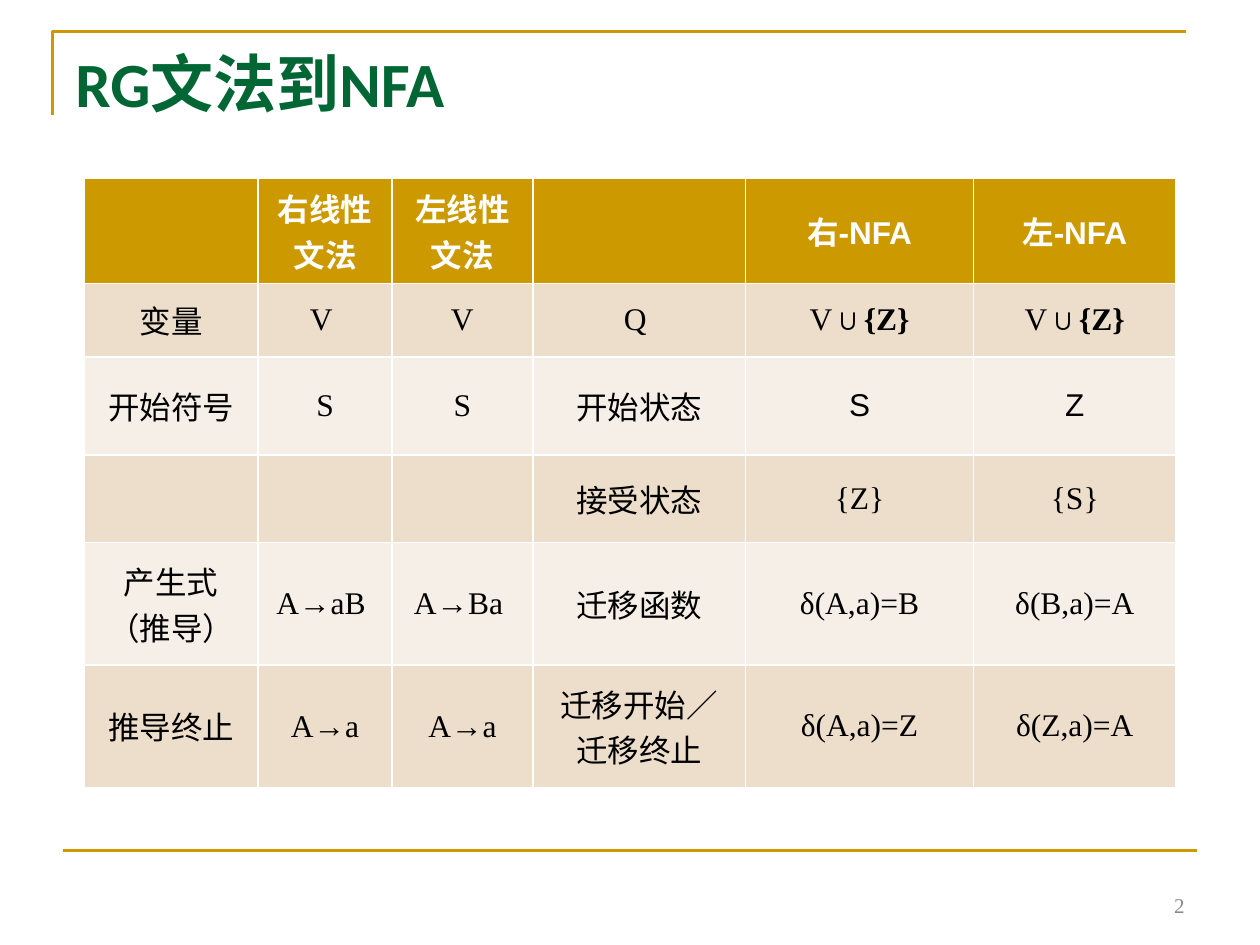
"""Build a slide that maps regular grammars to NFAs in a table."""
from lxml import etree
from pptx import Presentation
from pptx.dml.color import RGBColor
from pptx.enum import shapes, text
from pptx.oxml.ns import qn
from pptx.util import Pt

SERIF, SANS = "Times New Roman", "Arial"
GOLD, GREEN, GREY, BLACK, WHITE = "CC9900", "006633", "898989", "000000", "FFFFFF"
BANDS = ["ECDECB", "F6EFE7"]
ARROW = ("→", SANS, False)
UNION = ["V", ("∪{Z}", SERIF, True)]

COLS = [99.5, 76.5, 80.5, 121.5, 130.5, 115.5]
ROWS = [60, 42, 56, 50, 70, 70]
HEADER = ["", "右线性文法", "左线性文法", "", "右-NFA", "左-NFA"]
BODY = [
    ["变量", "V ", "V", "Q ", UNION, UNION],
    ["开始符号", "S", "S", "开始状态", [("S", SANS, False)], [("Z", SANS, False)]],
    ["", "", "", "接受状态", "{Z}", "{S}"],
    ["产生式（推导）", ["A", ARROW, "aB "], ["A", ARROW, "Ba "], "迁移函数",
     "δ(A,a)=B", "δ(B,a)=A"],
    [[("推导终止", SANS, False)], ["A", ARROW, "a"], ["A", ARROW, "a"],
     "迁移开始／迁移终止", "δ(A,a)=Z", "δ(Z,a)=A"],
]


def rgb(value):
    return RGBColor.from_string(value)


def add_run(p, words, font, size, color, bold=False):
    r = p.add_run()
    r.text = words
    r.font.name, r.font.size, r.font.bold = font, Pt(size), bold
    r.font.color.rgb = rgb(color)


def add_label(s, box, words, font, size, color, bold, align, anchor):
    tf = s.shapes.add_textbox(*map(Pt, box)).text_frame
    tf.word_wrap = True
    tf.vertical_anchor = anchor
    p = tf.paragraphs[0]
    p.alignment = align
    add_run(p, words, font, size, color, bold)


def add_rules(s):
    fb = s.shapes.build_freeform(Pt(30), Pt(66))
    fb.add_line_segments([(Pt(30), Pt(18)), (Pt(678), Pt(18))], close=False)
    corner = fb.convert_to_shape()
    corner.shadow.inherit = False
    corner.fill.background()
    footer = s.shapes.add_connector(
        shapes.MSO_CONNECTOR.STRAIGHT, Pt(36), Pt(486), Pt(684), Pt(486))
    etree.SubElement(footer._element.spPr, qn("a:effectLst"))
    for rule in (corner, footer):
        rule.line.color.rgb = rgb(GOLD)
        rule.line.width = Pt(1.5)
    footer._element.spPr.append(footer._element.spPr.find(qn("a:effectLst")))


def fill_cell(cell, content, fill, font, color, bold):
    cell.fill.solid()
    cell.fill.fore_color.rgb = rgb(fill)
    cell.vertical_anchor = text.MSO_ANCHOR.MIDDLE
    p = cell.text_frame.paragraphs[0]
    p.alignment = text.PP_ALIGN.CENTER
    for part in [content] if isinstance(content, str) else content:
        if part:
            words, face, strong = (part, font, bold) if isinstance(part, str) else part
            add_run(p, words, face, 18, color, strong)


def add_mapping(s):
    table = s.shapes.add_table(
        len(ROWS), len(COLS), Pt(48), Pt(102), Pt(sum(COLS)), Pt(sum(ROWS))).table
    for col, width in zip(table.columns, COLS):
        col.width = Pt(width)
    for row, height in zip(table.rows, ROWS):
        row.height = Pt(height)
    for j, content in enumerate(HEADER):
        fill_cell(table.cell(0, j), content, GOLD, SANS, WHITE, True)
    for i, line in enumerate(BODY):
        for j, content in enumerate(line):
            fill_cell(table.cell(i + 1, j), content, BANDS[i % 2], SERIF, BLACK, False)


def main():
    prs = Presentation()
    prs.slide_width, prs.slide_height = Pt(720), Pt(540)
    s = prs.slides.add_slide(prs.slide_layouts[6])
    add_rules(s)
    add_label(s, (36, 21.6, 648, 90), "RG文法到NFA", "Calibri", 36, GREEN, True,
              text.PP_ALIGN.LEFT, text.MSO_ANCHOR.TOP)
    add_label(s, (516, 492, 168, 36), "2", SERIF, 12, GREY, False,
              text.PP_ALIGN.RIGHT, text.MSO_ANCHOR.BOTTOM)
    add_mapping(s)
    prs.save("out.pptx")


if __name__ == "__main__":
    main()
